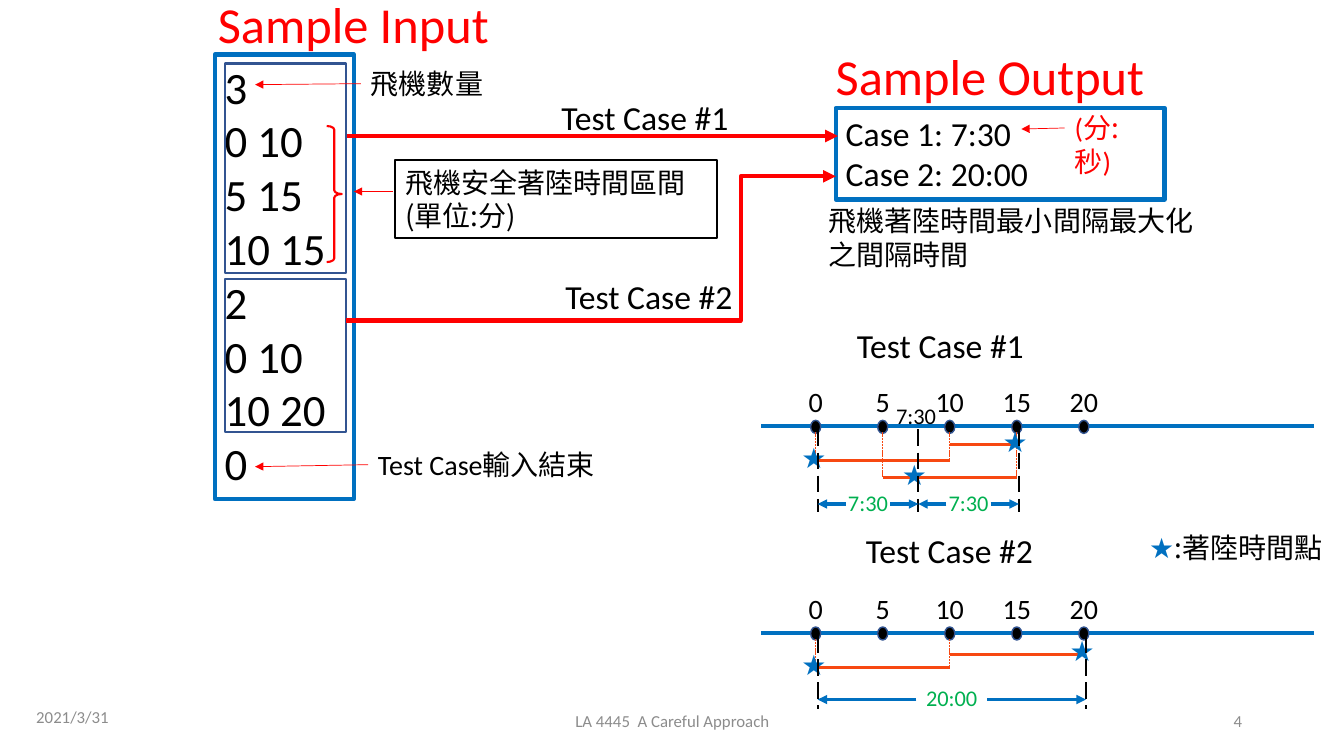
from copy import deepcopy

from lxml import etree
from pptx import Presentation
from pptx.dml.color import RGBColor
from pptx.enum.dml import MSO_LINE_DASH_STYLE as DASH
from pptx.enum.shapes import MSO_CONNECTOR as CONN, MSO_SHAPE as SHAPE
from pptx.enum.text import MSO_ANCHOR as ANCHOR, MSO_AUTO_SIZE as AUTO, PP_ALIGN as ALIGN
from pptx.oxml.ns import qn
from pptx.util import Inches, Pt

COLORS = {
    "black": "000000", "red": "FF0000", "blue": "0070C0", "navy": "325491",
    "orange": "F74811", "green": "00B050", "gray": "8C8C8C",
}
LATIN, CJK = "Calibri", "Noto Sans CJK SC"
AXIS_ZERO, AXIS_STEP = 8.09, 0.133


def rgb(name):
    return RGBColor.from_string(COLORS[name])


def place(shape, left, top, width, height):
    shape.left, shape.top = Inches(left), Inches(top)
    shape.width, shape.height = Inches(width), Inches(height)


def style_run(r, size, color):
    """Format a run, choosing the font by its script."""
    name = CJK if any(ord(ch) > 0x2E80 for ch in r.text) else LATIN
    r.font.name, r.font.size = name, Pt(size)
    r.font.color.rgb = rgb(color)
    ea = etree.SubElement(r.font._element, qn("a:ea"))
    ea.set("typeface", CJK)


def write(tf, paragraphs, size, color, align=ALIGN.LEFT, anchor=ANCHOR.TOP):
    """Fill a frame; each paragraph is a tuple of run texts."""
    tf.word_wrap, tf.auto_size = True, AUTO.NONE
    tf.vertical_anchor = anchor
    for i, texts in enumerate(paragraphs):
        p = tf.paragraphs[0] if i == 0 else tf.add_paragraph()
        p.alignment = align
        for text in texts:
            p.add_run().text = text
        for r in p.runs:
            style_run(r, size, color)


def add_text(shapes, box, *lines, size=20, color="black", align=ALIGN.LEFT,
             border=None, weight=1.5):
    """Add a text box; a line is a string or a tuple of run texts."""
    sp = shapes.add_textbox(*map(Inches, box))
    write(sp.text_frame, [(t,) if isinstance(t, str) else t for t in lines],
          size, color, align)
    if border:
        sp.line.color.rgb, sp.line.width = rgb(border), Pt(weight)
    return sp


def add_outline(shapes, kind, box, color, weight, fill=None):
    sp = shapes.add_shape(kind, *map(Inches, box))
    sp.shadow.inherit = False
    sp.line.color.rgb, sp.line.width = rgb(color), Pt(weight)
    if fill:
        sp.fill.solid()
        sp.fill.fore_color.rgb = rgb(fill)
    else:
        sp.fill.background()
    return sp


def add_line(shapes, start, end, color, weight, dash=None, arrow=False, bend=None):
    """Add a straight line, or an elbow that turns at the share bend of its width."""
    kind = CONN.STRAIGHT if bend is None else CONN.ELBOW
    line = shapes.add_connector(kind, *map(Inches, (*start, *end)))
    line.line.color.rgb, line.line.width = rgb(color), Pt(weight)
    if dash:
        line.line.dash_style = dash
    sppr = line._element.spPr
    if arrow:
        etree.SubElement(sppr.find(qn("a:ln")), qn("a:tailEnd")).set("type", "triangle")
    etree.SubElement(sppr, qn("a:effectLst"))
    if bend is not None:
        guide = etree.SubElement(sppr.find(qn("a:prstGeom")).find(qn("a:avLst")), qn("a:gd"))
        guide.set("name", "adj1")
        guide.set("fmla", f"val {round(bend * 100000)}")


def time_x(minute):
    return AXIS_ZERO + AXIS_STEP * minute


def add_star(shapes, x, y):
    add_text(shapes, (x - 0.24, y - 0.25, 0.53, 0.44), "★", color="blue")


def add_gap(shapes, start, end, y, text, half):
    """Label a gap between landings, with arrows leading out to both sides."""
    left, right = time_x(start) + 0.02, time_x(end) + 0.02
    middle = (left + right) / 2
    add_text(shapes, (middle - 0.38, y - 0.2, 0.76, 0.37), text, size=16,
             color="green", align=ALIGN.CENTER)
    add_line(shapes, (middle - half, y), (left, y), "blue", 2.25, arrow=True)
    add_line(shapes, (middle + half, y), (right, y), "blue", 2.25, arrow=True)


def add_timeline(s, y, windows, drops, guide):
    """Draw an axis with windows (start, end, depth, landing); return its shapes."""
    shapes = s.shapes.add_group_shape().shapes
    add_line(shapes, (7.55, y), (13.03, y), "blue", 3)
    for minute in range(0, 21, 5):
        x = time_x(minute)
        add_outline(shapes, SHAPE.OVAL, (x - 0.05, y - 0.06, 0.1, 0.13), "navy", 1, "black")
        add_text(shapes, (x - 0.32, y - 0.46, 0.64, 0.44), str(minute), align=ALIGN.CENTER)
    for minute, depth in drops.items():
        x = time_x(minute)
        add_line(shapes, (x, y + 0.06), (x, y + depth), "orange", 0.5, DASH.SQUARE_DOT)
    for start, end, depth, landing in windows:
        level = y + depth
        x = time_x(landing)
        add_line(shapes, (time_x(start), level), (time_x(end), level), "orange", 2.25)
        add_star(shapes, x, level)
        add_line(shapes, (x + 0.02, y + 0.03), (x + 0.02, y + guide),
                 "black", 1.5, DASH.LONG_DASH)
    return shapes


def add_footers(s):
    """Bring the layout's date, footer and number placeholders onto the slide."""
    contents = {
        10: ("2021/3/31", (0.26, 6.91, 3, 0.4), ALIGN.LEFT),
        11: ("LA 4445  A Careful Approach", (4.42, 6.95, 4.5, 0.4), ALIGN.CENTER),
        12: ("4", (9.42, 6.95, 3, 0.4), ALIGN.RIGHT),
    }
    for ph in s.slide_layout.placeholders:
        if ph.placeholder_format.idx in contents:
            s.shapes.element.append(deepcopy(ph.element))
    for ph in s.placeholders:
        if ph.placeholder_format.idx in contents:
            text, box, align = contents[ph.placeholder_format.idx]
            place(ph, *box)
            ph.text_frame.text = ""
            write(ph.text_frame, [(text,)], 12, "gray", align, ANCHOR.MIDDLE)


def add_input(s):
    shapes = s.shapes
    add_text(shapes, (2.13, 0.54, 1.38, 4.41), "3", "0 10", "5 15", "10 15",
             "2", "0 10", "10 20", "0", size=32, border="blue", weight=3)
    for top, height in ((0.63, 2.08), (2.77, 1.52)):
        add_outline(shapes, SHAPE.RECTANGLE, (2.23, top, 1.2, height), "navy", 1.5)
    brace = add_outline(shapes, SHAPE.RIGHT_BRACE, (3.24, 1.25, 0.15, 1.35), "red", 1.5)
    brace.adjustments[0] = 0.243
    add_text(shapes, (3.58, 0.61, 1.38, 0.44), "飛機數量")
    add_text(shapes, (3.92, 1.59, 3.19, 0.77), "飛機安全著陸時間區間(單位:分)", border="black")
    add_text(shapes, (3.65, 4.39, 2.38, 0.44), ("Test Case", "輸入結束"))


def add_output(s):
    shapes = s.shapes
    add_text(shapes, (8.19, 0.4, 3.4, 0.71), "Sample Output", size=36, color="red")
    add_text(shapes, (8.29, 1.07, 3.26, 0.91), "Case 1: 7:30", "Case 2: 20:00",
             size=24, border="blue", weight=3)
    add_text(shapes, (10.56, 1.05, 0.99, 0.44), ("(", "分:秒", ")"), color="red")
    add_text(shapes, (8.12, 1.97, 3.89, 0.77), "飛機著陸時間最小間隔最大化之間隔時間")


def add_arrows(s):
    for start, end in (((3.58, 0.83), (2.53, 0.84)), ((3.9, 1.9), (3.51, 1.9)),
                       ((3.65, 4.61), (2.53, 4.63)), ((10.56, 1.27), (10.13, 1.28))):
        add_line(s.shapes, start, end, "red", 0.5, arrow=True)
    add_line(s.shapes, (3.44, 1.35), (8.31, 1.35), "red", 3, arrow=True, bend=0.5)
    add_line(s.shapes, (3.43, 3.18), (8.29, 1.75), "red", 3, arrow=True, bend=0.806)


def main():
    prs = Presentation()
    prs.slide_width, prs.slide_height = Inches(13.33), Inches(7.5)
    s = prs.slides.add_slide(prs.slide_layouts[5])
    place(s.shapes.title, 2.06, -0.12, 3.1, 0.71)
    write(s.shapes.title.text_frame, [("Sample Input",)], 36, "red")
    add_footers(s)
    add_input(s)
    add_output(s)
    add_arrows(s)
    for number, left, top in ((1, 5.47, 0.91), (2, 5.51, 2.69), (1, 8.4, 3.17), (2, 8.49, 5.21)):
        add_text(s.shapes, (left, top, 1.88, 0.5), f"Test Case #{number}", size=24)
    legend = add_text(s.shapes, (11.3, 5.21, 2.03, 0.44), ("★", ":著陸時間點"))
    legend.text_frame.paragraphs[0].runs[0].font.color.rgb = rgb("blue")

    first = add_timeline(s, 4.23, [(0, 10, 0.34, 0), (10, 15, 0.18, 15), (5, 15, 0.51, 7.5)],
                         {0: 0.34, 5: 0.51, 10: 0.34, 15: 0.51}, 0.85)
    add_text(first, (8.79, 3.94, 0.67, 0.37), "7:30", size=16)
    add_gap(first, 0, 7.5, 5, "7:30", 0.22)
    add_gap(first, 7.5, 15, 5, "7:30", 0.22)
    second = add_timeline(s, 6.28, [(0, 10, 0.34, 0), (10, 20, 0.21, 20)],
                          {0: 0.34, 10: 0.34}, 0.75)
    add_gap(second, 0, 20, 6.94, "20:00", 0.35)
    prs.save("out.pptx")


if __name__ == "__main__":
    main()
